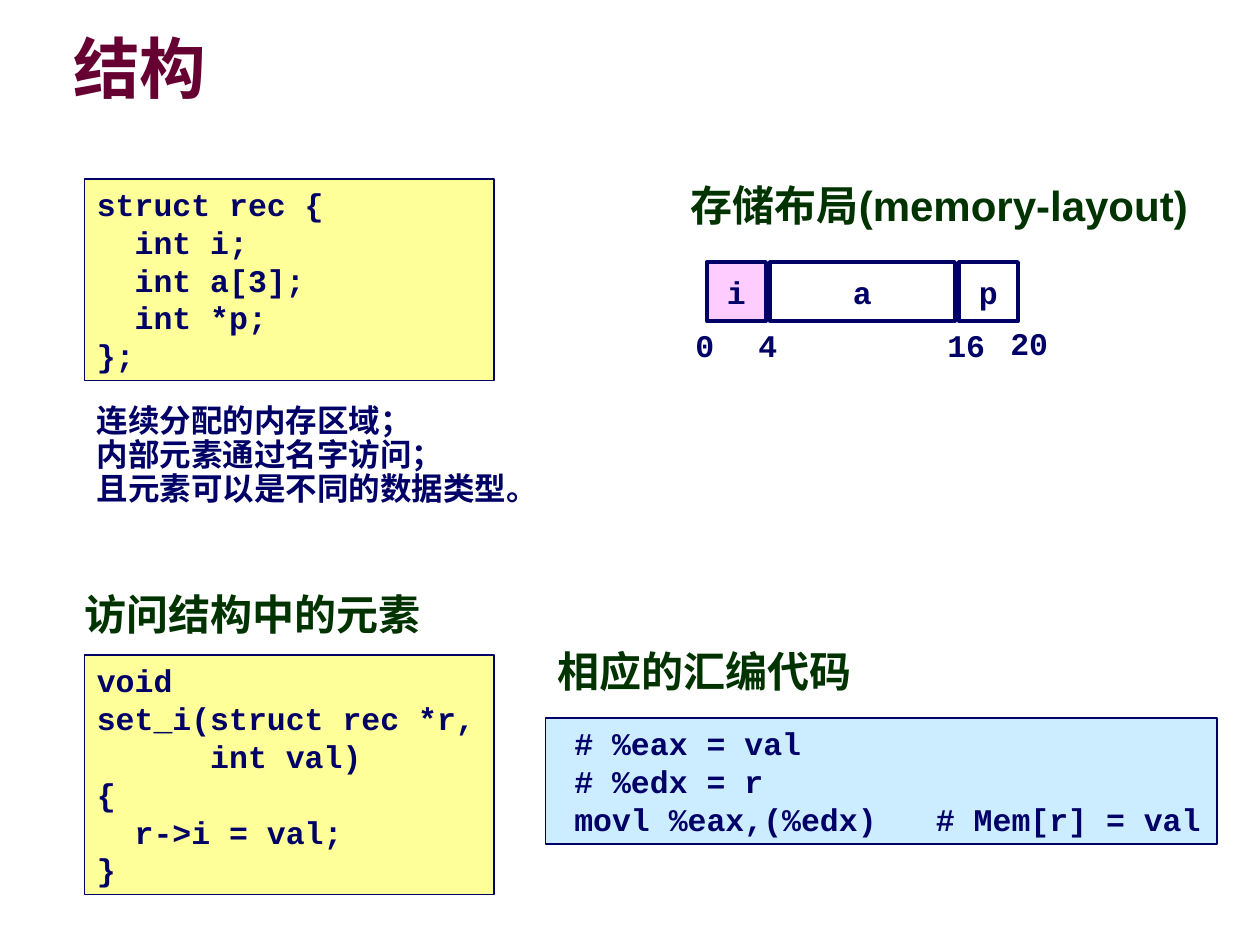
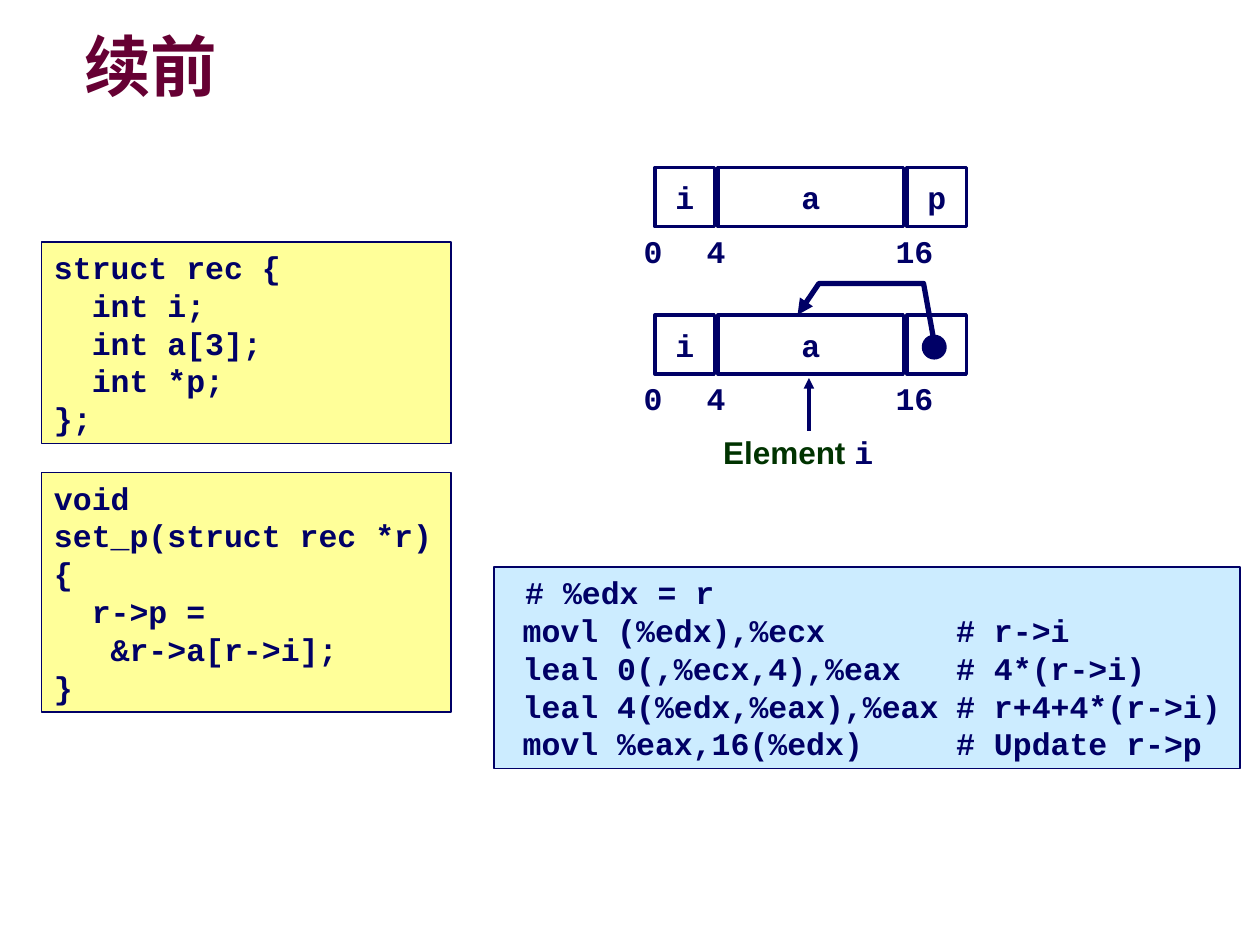
"""Two slides on C structures: memory layout, member access and assembly code."""
from lxml import etree
from pptx import Presentation
from pptx.dml.color import RGBColor
from pptx.enum.shapes import MSO_CONNECTOR, MSO_SHAPE
from pptx.enum.text import MSO_ANCHOR, MSO_AUTO_SIZE, PP_ALIGN
from pptx.oxml.ns import qn
from pptx.util import Inches, Pt

RECT, OVAL, STRAIGHT = MSO_SHAPE.RECTANGLE, MSO_SHAPE.OVAL, MSO_CONNECTOR.STRAIGHT
LEFT, CENTER = PP_ALIGN.LEFT, PP_ALIGN.CENTER
TOP, MIDDLE = MSO_ANCHOR.TOP, MSO_ANCHOR.MIDDLE
FIT = MSO_AUTO_SIZE.SHAPE_TO_FIT_TEXT

NAVY, GREEN, MAROON, SHADOW = "000066", "003300", "660033", "969696"
YELLOW, BLUE, PINK, WHITE = "FFFF99", "CCECFF", "FFCCFF", "FFFFFF"
TITLE = ("Arial", 38, MAROON)
HEADING = ("Arial", 24, GREEN)
NOTE = ("Arial", 18, NAVY)
CAPTION = ("Arial", 18, GREEN)
CODE = ("Courier New", 18, NAVY)

BYTE = 1 / 8
CELL_GAP, CELL_HEIGHT = 0.03, 0.47
CODE_LINE, CODE_WIDTH = 0.3, 3.25
FIELDS = [("i", 0, 4), ("a", 4, 12), ("p", 16, 4)]
MARKS = {0: 0.46, 4: 0.46, 16: 0.46}

STRUCT = ["struct rec {", "  int i;", "  int a[3];", "  int *p;", "};"]
SLIDES = [
    {
        "title": ("结构", (0.58, 0.08, 5.74, 1)),
        "code": [
            (STRUCT, 0.67, 1.42, CODE_WIDTH, YELLOW, []),
            (["void", "set_i(struct rec *r,", "      int val)", "{",
              "  r->i = val;", "}"], 0.67, 5.2, CODE_WIDTH, YELLOW, []),
            (["\t# %eax = val", "\t# %edx = r",
              "\tmovl %eax,(%edx)\t# Mem[r] = val"],
             4.33, 5.7, 5.33, BLUE, [0.13, 3]),
        ],
        "headings": [
            ("存储布局(memory-layout)", (5.08, 1.42, 4.75, 0.45), CENTER),
            ("访问结构中的元素", (0.57, 4.67, 3.68, 0.45), LEFT),
            ("相应的汇编代码", (4.33, 5.12, 3.68, 0.45), LEFT),
        ],
        "notes": [(["连续分配的内存区域；", "内部元素通过名字访问；",
                    "且元素可以是不同的数据类型。"], (0.67, 3.17, 5, 0.91))],
        "layouts": [(5.61, 2.08, {"i": PINK}, {**MARKS, 20: 0.44}, False)],
    },
    {
        "title": ("续前", (0.67, 0.25, 7.9, 0.63)),
        "code": [
            (STRUCT, 0.33, 1.92, CODE_WIDTH, YELLOW, []),
            (["void", "set_p(struct rec *r)", "{", "  r->p =",
              "   &r->a[r->i];", "}"], 0.33, 3.75, CODE_WIDTH, YELLOW, []),
            ([" # %edx = r", "\tmovl (%edx),%ecx\t# r->i",
              "\tleal 0(,%ecx,4),%eax\t# 4*(r->i)",
              "\tleal 4(%edx,%eax),%eax\t# r+4+4*(r->i)",
              "\tmovl %eax,16(%edx)\t# Update r->p"],
             3.92, 4.5, 5.92, BLUE, [0.13, 3.57]),
        ],
        "headings": [],
        "notes": [],
        "layouts": [(5.2, 1.33, {}, MARKS, False), (5.2, 2.5, {}, MARKS, True)],
    },
]


def rgb(value):
    return RGBColor.from_string(value)


def inches(lengths):
    return [Inches(length) for length in lengths]


def outline(part, width):
    part.line.color.rgb = rgb(NAVY)
    part.line.width = Pt(width)


def arrow_tip(part):
    line = part.line._get_or_add_ln()
    etree.SubElement(line, qn("a:tailEnd"), type="triangle")


def add_figure(parts, kind, box, fill, width):
    figure = parts.add_shape(kind, *inches(box))
    figure.shadow.inherit = False
    figure.fill.solid()
    figure.fill.fore_color.rgb = rgb(fill)
    outline(figure, width)
    return figure


def write(holder, lines, align=LEFT, anchor=TOP, wrap=True, spacing=None, tabs=()):
    """Write lines, each a list of (text, style) runs, into a shape."""
    frame = holder.text_frame
    frame.word_wrap = wrap
    frame.vertical_anchor = anchor
    for number, runs in enumerate(lines):
        paragraph = frame.add_paragraph() if number else frame.paragraphs[0]
        paragraph.alignment = align
        if spacing:
            paragraph.line_spacing = spacing
        if tabs:
            stops = etree.SubElement(paragraph._p.get_or_add_pPr(), qn("a:tabLst"))
            for stop in tabs:
                etree.SubElement(stops, qn("a:tab"), pos=str(Inches(stop)), algn="l")
        for text, (face, size, color) in runs:
            run = paragraph.add_run()
            run.text = text
            run.font.name, run.font.size, run.font.bold = face, Pt(size), True
            run.font.color.rgb = rgb(color)
    return frame


def add_title(parts, text, box):
    frame = write(parts.add_textbox(*inches(box)), [[(text, TITLE)]],
                  anchor=MIDDLE, spacing=0.87)
    frame.margin_left = frame.margin_right = frame.margin_top = frame.margin_bottom = 0
    fill = frame.paragraphs[0].runs[0].font._element.find(qn("a:solidFill"))
    effects = etree.Element(qn("a:effectLst"))
    shadow = etree.SubElement(effects, qn("a:outerShdw"), dist="38100", dir="2700000")
    etree.SubElement(shadow, qn("a:srgbClr"), val=SHADOW)
    fill.addnext(effects)


def add_code(parts, lines, left, top, width, fill, tabs):
    box = (left, top, width, len(lines) * CODE_LINE + 0.1)
    panel = add_figure(parts, RECT, box, fill, 1)
    write(panel, [[(line, CODE)] for line in lines], tabs=tabs)


def add_pointer(parts, left, top):
    """Show p pointing at an element of a."""
    add_figure(parts, OVAL, (left + 2.13, top + 0.17, 0.17, 0.17), NAVY, 2)
    start, *bends = [(left + x, top + y) for x, y in
                     [(2.22, 0.25), (2.13, -0.25), (1.3, -0.25), (1.13, 0)]]
    builder = parts.build_freeform(*inches(start))
    builder.add_line_segments([inches(bend) for bend in bends], close=False)
    route = builder.convert_to_shape()
    route.shadow.inherit = False
    route.fill.background()
    outline(route, 3)
    arrow_tip(route)

    element = left + 1.22
    arrow = parts.add_connector(
        STRAIGHT, *inches((element, top + 0.92, element, top + 0.5)))
    outline(arrow, 2)
    arrow_tip(arrow)
    etree.SubElement(arrow._element.spPr, qn("a:effectLst"))
    caption = parts.add_textbox(*inches((left + 0.3, top + 0.92, 1.67, 0.42)))
    write(caption, [[("Element ", CAPTION), ("i", CODE)]], CENTER, spacing=0.9)


def add_layout(parts, left, top, fills, marks, pointing):
    """Draw the fields of the structure to scale, with byte offsets below."""
    for name, offset, size in FIELDS:
        box = (left + offset * BYTE, top, size * BYTE - CELL_GAP, CELL_HEIGHT)
        cell = add_figure(parts, RECT, box, fills.get(name, WHITE), 2)
        if not (pointing and name == "p"):
            write(cell, [[(name, CODE)]], CENTER, MIDDLE, wrap=False)
    for offset, drop in marks.items():
        width = 0.2 + 0.15 * len(str(offset))
        mark = parts.add_textbox(
            *inches((left - 0.19 + offset * BYTE, top + drop, width, 0.4)))
        write(mark, [[(str(offset), CODE)]], wrap=False).auto_size = FIT
    if pointing:
        add_pointer(parts, left, top)


def main():
    deck = Presentation()
    deck.slide_width, deck.slide_height = inches((10, 7.5))
    for content in SLIDES:
        parts = deck.slides.add_slide(deck.slide_layouts[6]).shapes
        add_title(parts, *content["title"])
        for panel in content["code"]:
            add_code(parts, *panel)
        for text, box, align in content["headings"]:
            write(parts.add_textbox(*inches(box)), [[(text, HEADING)]], align, spacing=0.9)
        for lines, box in content["notes"]:
            write(parts.add_textbox(*inches(box)),
                  [[(line, NOTE)] for line in lines], spacing=0.9)
        for layout in content["layouts"]:
            add_layout(parts.add_group_shape().shapes, *layout)
    deck.save("out.pptx")


if __name__ == "__main__":
    main()
